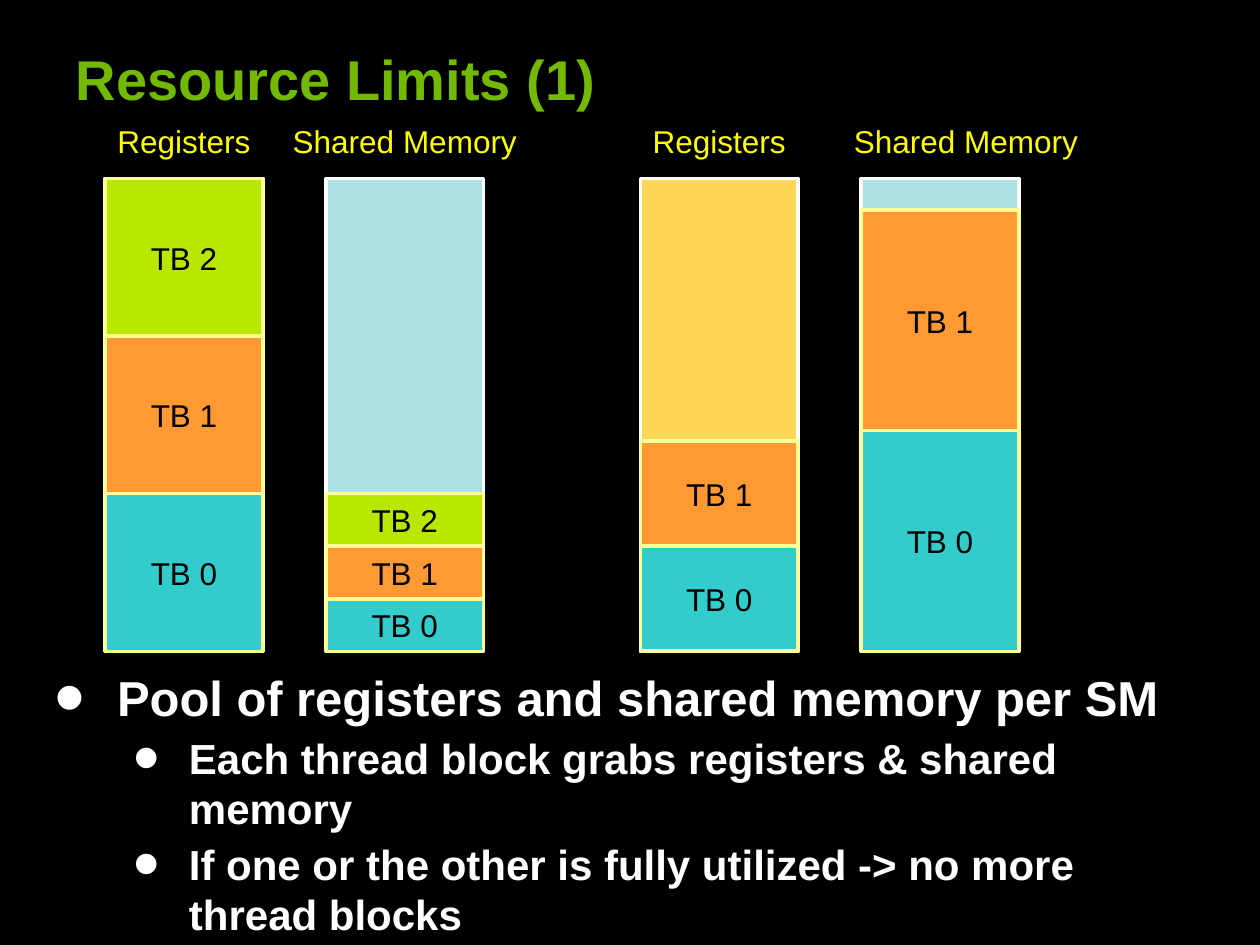
from lxml import etree
from pptx import Presentation
from pptx import util as u
from pptx.dml.color import RGBColor
from pptx.enum import shapes, text
from pptx.oxml.ns import qn

Cm, Pt = u.Cm, u.Pt
FONT = "Arial"
COLORS = {
    "background": "000000", "title": "73B900", "label": "FFFF00",
    "body": "FFFFFF", "block_text": "000000",
    "pool_line": "FFFFFF", "block_line": "FFFF99",
    "registers": "FFD757", "memory": "ADE2E2",
    "TB 0": "33CCCC", "TB 1": "FF9933", "TB 2": "B9E700",
}
BAR_W, BAR_H, BAR_TOP, BAR_PITCH = 3.18, 9.53, 3.6, 4.45
LABEL_TOP, LABEL_H = 2.34, 1.02


def rgb(name):
    return RGBColor.from_string(COLORS[name])


def write(p, words, size=18, color="block_text", bold=False, align=None):
    p.alignment = align
    r = p.add_run()
    r.text = words
    f = r.font
    f.name, f.size, f.bold = FONT, Pt(size), bold
    f.color.rgb = rgb(color)


def add_rect(s, left, top, width, height, fill, line, words=None):
    sp = s.shapes.add_shape(shapes.MSO_SHAPE.RECTANGLE,
                            Cm(left), Cm(top), Cm(width), Cm(height))
    sp.shadow.inherit = False
    sp.fill.solid()
    sp.fill.fore_color.rgb = rgb(fill)
    sp.line.color.rgb = rgb(line)
    sp.line.width = Pt(2)
    if words:
        sp.text_frame.vertical_anchor = text.MSO_ANCHOR.MIDDLE
        write(sp.text_frame.paragraphs[0], words, align=text.PP_ALIGN.CENTER)


def add_title(s, left, top, width, height):
    sp = s.shapes.title
    sp.left, sp.top, sp.width, sp.height = Cm(left), Cm(top), Cm(width), Cm(height)
    tf = sp.text_frame
    tf.vertical_anchor = text.MSO_ANCHOR.BOTTOM
    tf.margin_top, tf.margin_bottom = 0, Cm(0.1)
    write(tf.paragraphs[0], "Resource Limits (1)", size=32, color="title",
          bold=True, align=text.PP_ALIGN.LEFT)


def add_label(s, center, width, words, filled=False):
    sp = s.shapes.add_textbox(Cm(center - width / 2), Cm(LABEL_TOP),
                              Cm(width), Cm(LABEL_H))
    if filled:
        sp.fill.solid()
        sp.fill.fore_color.rgb = rgb("background")
    tf = sp.text_frame
    tf.word_wrap = False
    tf.margin_left = tf.margin_right = 0
    write(tf.paragraphs[0], words, color="label", align=text.PP_ALIGN.CENTER)


def add_bar(s, left, top, pool, blocks, share):
    """Draw a resource pool with blocks stacked from its bottom edge."""
    add_rect(s, left, top, BAR_W, BAR_H, pool, "pool_line")
    h = BAR_H * share
    for i in range(blocks):
        name = f"TB {i}"
        add_rect(s, left, top + BAR_H - (i + 1) * h, BAR_W, h,
                 name, "block_line", name)


def add_pair(s, left, blocks, register_share, memory_share, memory_shift=0):
    """Draw the registers and shared memory bars of one scenario."""
    center = left + BAR_W / 2
    add_bar(s, left, BAR_TOP, "registers", blocks, register_share)
    add_label(s, center, 3.18, "Registers")
    add_bar(s, left + BAR_PITCH, BAR_TOP, "memory", blocks, memory_share)
    add_label(s, center + BAR_PITCH + memory_shift, 5.03, "Shared Memory",
              filled=True)


def add_bullet(p, indent, hanging):
    pPr = p._p.get_or_add_pPr()
    pPr.set("marL", str(Cm(indent)))
    pPr.set("indent", str(-Cm(hanging)))
    clr = etree.SubElement(pPr, qn("a:buClr"))
    etree.SubElement(clr, qn("a:srgbClr"), val=COLORS["body"])
    etree.SubElement(pPr, qn("a:buSzPct"), val="180000")
    etree.SubElement(pPr, qn("a:buFont"), typeface=FONT)
    etree.SubElement(pPr, qn("a:buChar"), char="•")


def add_body(s, left, top, width, height):
    items = [
        (0, "Pool of registers and shared memory per SM"),
        (1, "Each thread block grabs registers & shared memory"),
        (1, "If one or the other is fully utilized -> no more thread blocks"),
    ]
    levels = [(1.27, 1.27, 28), (2.72, 1.12, 24)]
    tf = s.shapes.add_textbox(Cm(left), Cm(top), Cm(width), Cm(height)).text_frame
    tf.word_wrap = True
    for i, (level, words) in enumerate(items):
        p = tf.add_paragraph() if i else tf.paragraphs[0]
        indent, hanging, size = levels[level]
        add_bullet(p, indent, hanging)
        p.level = level
        if i:
            p.space_before = Pt(3)
        write(p, words, size=size, color="body", bold=True)


def main():
    prs = Presentation()
    prs.slide_width, prs.slide_height = Cm(25.4), Cm(19.05)
    s = prs.slides.add_slide(prs.slide_layouts[5])
    s.background.fill.solid()
    s.background.fill.fore_color.rgb = rgb("background")

    add_title(s, 1.27, 0.76, 20.52, 1.6)
    # Left: registers run out first; right: shared memory runs out first
    add_pair(s, 2.12, 3, 1 / 3, 1 / 9)
    add_pair(s, 12.91, 2, 2 / 9, 7 / 15, memory_shift=0.52)
    # Explanation
    add_body(s, 0.84, 13.34, 23.06, 4.45)

    prs.save("out.pptx")


if __name__ == "__main__":
    main()
